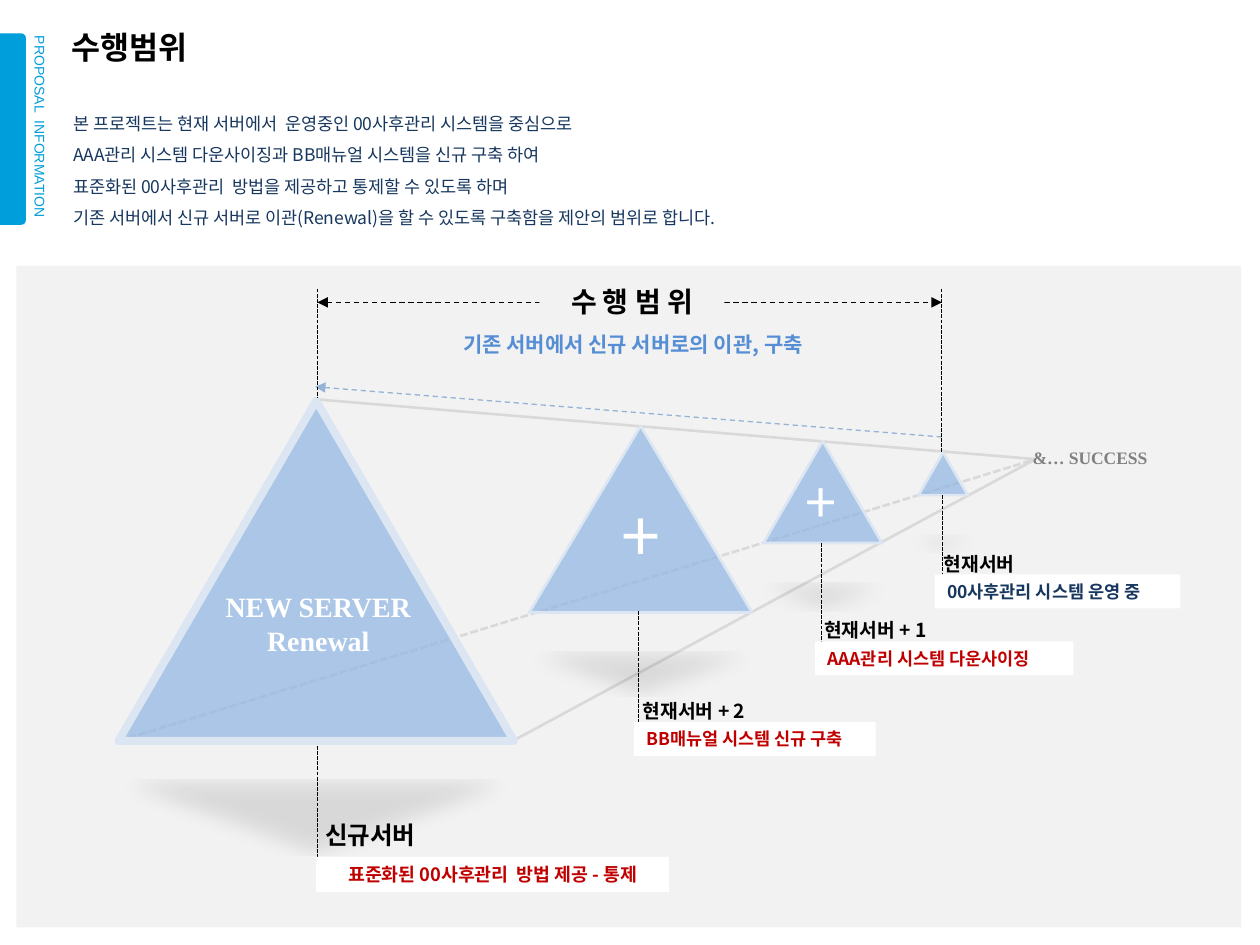
"""Build the project scope slide with its row of shrinking server triangles."""
from dataclasses import dataclass

from pptx import Presentation
from pptx.dml.color import RGBColor
from pptx.enum import dml, shapes, text
from pptx.oxml import ns, parse_xml
from pptx.util import Pt

KIND = shapes.MSO_SHAPE
DASH = dml.MSO_LINE
ALIGN = text.PP_ALIGN
SANS, SERIF = "Noto Sans CJK KR", "Times New Roman"
NAVY, RED, BLACK, GREY = "17375E", "C00000", "000000", "F2F2F2"
MAIN = "http://schemas.openxmlformats.org/drawingml/2006/main"


@dataclass
class Peak:
    box: tuple
    edge: float = 1.5


@dataclass
class Tag:
    name: str
    note: str
    box: tuple
    stem: float
    top: float
    ink: str = RED
    size: float = 11
    small: float = 10
    align: ALIGN = ALIGN.LEFT


PEAKS = [
    Peak((436.3, 252, 67.7, 58.3)),
    Peak((524.9, 258.5, 28.1, 24.5)),
    Peak((67.7, 229, 226, 194.4), 4.5),
    Peak((302.4, 243.4, 127.4, 106.6)),
]
TAGS = [
    Tag("현재서버", "00사후관리 시스템 운영 중", (534.2, 328.3, 140.4, 19.4), 538.4, 283, NAVY),
    Tag("현재서버 + 1", "AAA관리 시스템 다운사이징", (465.8, 366.5, 147.6, 19.4), 469.4, 310.3),
    Tag("현재서버 + 2", "BB매뉴얼 시스템 신규 구축", (362.2, 412.6, 138.2, 19.4), 365, 349.2),
    Tag("신규서버", "표준화된 00사후관리  방법 제공 - 통제", (180.7, 489.6, 201.6, 20.2),
        181.4, 426.2, size=14, small=10.5, align=ALIGN.CENTER),
]
SCOPE = [
    "본 프로젝트는 현재 서버에서  운영중인 00사후관리 시스템을 중심으로",
    "AAA관리 시스템 다운사이징과 BB매뉴얼 시스템을 신규 구축 하여",
    "표준화된 00사후관리  방법을 제공하고 통제할 수 있도록 하며",
    "기존 서버에서 신규 서버로 이관(Renewal)을 할 수 있도록 구축함을 제안의 범위로 합니다.",
]


def tint(form, ink: str) -> None:
    """Give a fill a solid colour."""
    form.solid()
    form.fore_color.rgb = RGBColor.from_string(ink)


def node(tag: str, inner: str = "", **attrs):
    """Make one drawing element."""
    pairs = "".join(f' {key}="{val}"' for key, val in attrs.items())
    return parse_xml(f'<a:{tag} xmlns:a="{MAIN}"{pairs}>{inner}</a:{tag}>')


def place(item, box: tuple) -> None:
    """Move and size an item in points."""
    item.left, item.top, item.width, item.height = map(Pt, box)


def write(item, words: str, size: float, ink: str = BLACK, face: str = SANS, bold: bool = False,
          align: ALIGN = ALIGN.LEFT, wrap: bool = True, gap: float = 1,
          anchor=text.MSO_ANCHOR.TOP) -> None:
    """Fill an item with formatted lines of text."""
    frame = item.text_frame
    frame.word_wrap = wrap
    frame.auto_size = text.MSO_AUTO_SIZE.NONE
    frame.vertical_anchor = anchor
    frame.text = words
    for para in frame.paragraphs:
        para.alignment, para.line_spacing = align, gap
        para.space_before = Pt(0)
        if item.is_placeholder:
            props = para._p.get_or_add_pPr()
            props.set("marL", "0")
            props.set("indent", "0")
            props.append(node("buNone"))
        for run in para.runs:
            font = run.font
            font.size, font.bold, font.name = Pt(size), bold, face
            tint(font.fill, ink)
            run._r.get_or_add_rPr().append(node("ea", typeface=SANS))


def label(slide, words: str, box: tuple, size: float, turn: float = 0, **style):
    """Add a text box."""
    item = slide.shapes.add_textbox(*map(Pt, box))
    item.rotation = turn
    write(item, words, size, **style)


def block(slide, box: tuple, ink: str, kind=KIND.RECTANGLE):
    """Add a plain filled shape."""
    item = slide.shapes.add_shape(kind, *map(Pt, box))
    item.shadow.inherit = False
    tint(item.fill, ink)
    item.line.fill.background()
    return item


def line(slide, start: tuple, end: tuple, ink: str = BLACK, width: float = 0.75,
         dash=DASH.SQUARE_DOT, ends: tuple = ()) -> None:
    """Add a line with optional arrowheads."""
    item = slide.shapes.add_connector(shapes.MSO_CONNECTOR.STRAIGHT, *map(Pt, start + end))
    tint(item.line.fill, ink)
    item.line.width, item.line.dash_style = Pt(width), dash
    for end_tag in ends:
        item.line._get_or_add_ln().append(node(end_tag, type="triangle"))
    item._element.spPr.append(node("effectLst"))


def peak(slide, spec: Peak) -> None:
    """Add a see-through triangle with a flattened shadow below."""
    item = block(slide, spec.box, "8EB4E3", KIND.ISOSCELES_TRIANGLE)
    props = item._element.spPr
    props.find(ns.qn("a:solidFill"))[0].append(node("alpha", val=70000))
    tint(item.line.fill, "DCE6F2")
    item.line.width = Pt(spec.edge)
    shade = '<a:srgbClr val="000000"><a:alpha val="15000"/></a:srgbClr>'
    props.find(ns.qn("a:effectLst")).append(node(
        "outerShdw", shade, blurRad=Pt(12), dist=Pt(25), dir=5400000,
        sx=90000, sy=-19000, rotWithShape=0))


def mark(slide, tag: Tag) -> None:
    """Add a stem, a server name and its note."""
    left, top, _, _ = tag.box
    line(slide, (tag.stem, tag.top), (tag.stem, top))
    rise = tag.size * 1.5 + (3.5 if tag.size > 11 else 0)
    label(slide, tag.name, (left - 2, top - rise, 86.4, rise + 4), tag.size, bold=True)
    note = block(slide, tag.box, "FFFFFF")
    write(note, tag.note, tag.small, ink=tag.ink, bold=True, align=tag.align,
          anchor=text.MSO_ANCHOR.MIDDLE)


def main() -> None:
    """Draw the slide and save it."""
    deck = Presentation()
    deck.slide_width, deck.slide_height = Pt(720), Pt(540)
    slide = deck.slides.add_slide(deck.slide_layouts[1])
    title, body = slide.placeholders
    place(title, (33.8, 12.2, 150, 28.8))
    write(title, "수행범위", 18, bold=True)
    place(body, (34.6, 54.7, 421.2, 79.9))
    write(body, "\n".join(SCOPE), 10, ink=NAVY, gap=1.5)

    block(slide, (9.4, 152, 699.8, 378), GREY)
    block(slide, (-47.5, 66.2, 109.4, 15.1), "009EDB", KIND.ROUND_2_SAME_RECTANGLE).rotation = 90
    label(slide, "PROPOSAL  INFORMATION", (-38.2, 65.5, 121.7, 17.3), 8, turn=90,
          ink="009EDB", face="Arial", align=ALIGN.JUSTIFY)

    goal = (591.8, 262.4)
    for start, dash in [((180.7, 228.2), DASH.SOLID), ((67.7, 423.4), DASH.SQUARE_DOT),
                        ((293, 423.4), DASH.SOLID)]:
        line(slide, start, goal, "D9D9D9", 1.5, dash)
    label(slide, "&… SUCCESS", (582.5, 252, 80.6, 19.4), 10, ink="808080", face=SERIF,
          bold=True, align=ALIGN.CENTER, wrap=False)
    for spec in PEAKS:
        peak(slide, spec)
    label(slide, "NEW SERVER\nRenewal", (121, 333.4, 121.7, 46.1), 16, ink="FFFFFF",
          face=SERIF, bold=True, align=ALIGN.CENTER, wrap=False)
    line(slide, (180, 221), (539.3, 249.8), "95B3D7", dash=DASH.DASH, ends=("headEnd",))
    for tag in TAGS:
        mark(slide, tag)

    left, right = 181.4, 538.2
    for side, foot in [(right, 258.5), (left, 227.5)]:
        line(slide, (side, 164.9), (side, foot))
    label(slide, "기존 서버에서 신규 서버로의 이관, 구축", (223.2, 185.8, 277.2, 21.6), 12,
          ink="558ED5", bold=True, align=ALIGN.CENTER)
    line(slide, (left, 172.8), (right, 172.8), dash=DASH.DASH, ends=("headEnd", "tailEnd"))
    head = block(slide, (308.2, 159.1, 105.8, 26.6), GREY)
    write(head, "수 행 범 위", 16, face="Arial", bold=True, align=ALIGN.CENTER,
          anchor=text.MSO_ANCHOR.MIDDLE)
    for box, size in [((344.9, 277.9, 42.5, 55.4), 40), ((450.7, 263.5, 37.4, 46.1), 32)]:
        label(slide, "+", box, size, ink="FFFFFF", align=ALIGN.CENTER, wrap=False)
    deck.save("out.pptx")


if __name__ == "__main__":
    main()
